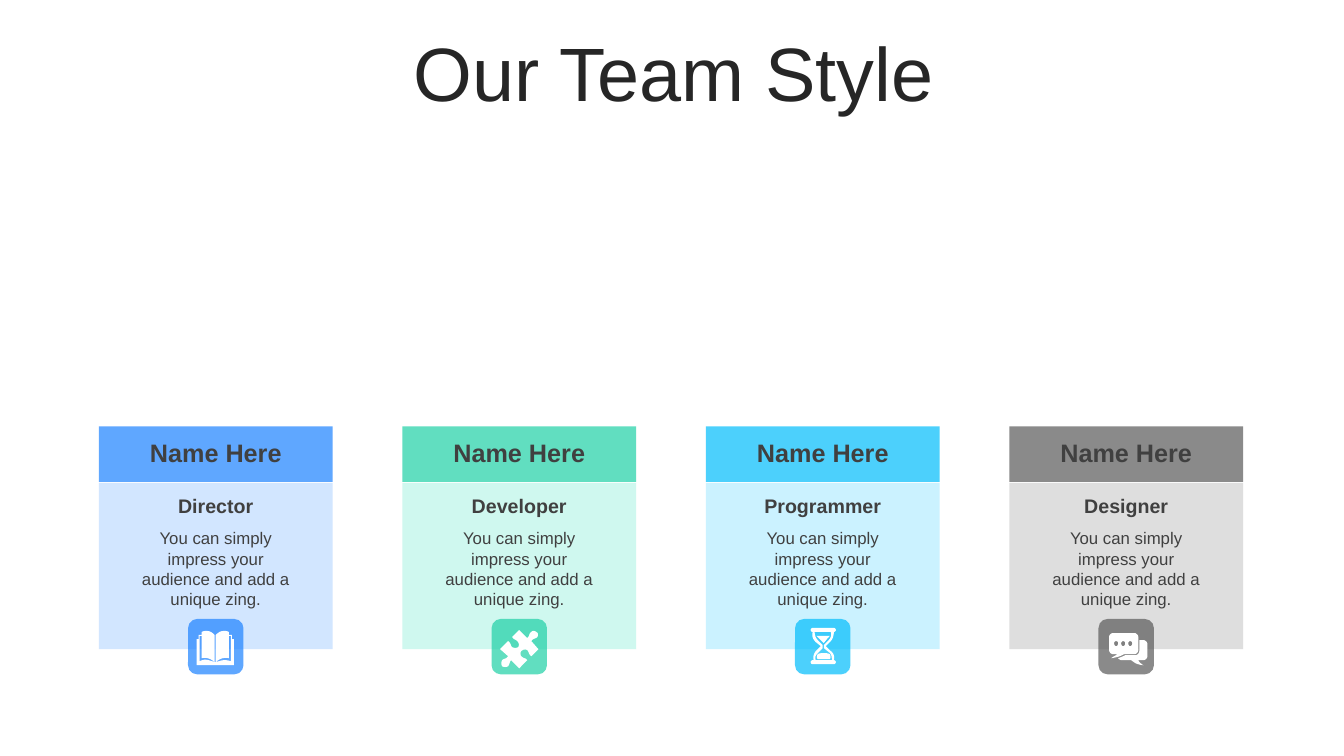
"""Build the team slide: a title above four role cards with icons."""
from dataclasses import dataclass

import lxml.etree
import pptx
import pptx.dml.color
import pptx.enum.shapes
import pptx.enum.text
import pptx.oxml.ns
import pptx.shapes.autoshape
import pptx.slide
import pptx.text.text
import pptx.util

Inches = pptx.util.Inches
SHAPES = pptx.enum.shapes.MSO_SHAPE
MIDDLE = pptx.enum.text.MSO_ANCHOR.MIDDLE
TOP = pptx.enum.text.MSO_ANCHOR.TOP

COLOURS = {
    "title": "262626", "text": "404040", "icon": "FFFFFF",
    "blue": "1C82FF", "blue panel": "D2E6FF",
    "green": "1ED0A6", "green panel": "CFF8EF",
    "cyan": "00BDFB", "cyan panel": "CBF2FF",
    "grey": "595959", "grey panel": "DEDEDE",
}
FONT = "Arial"
FIRST_LEFT, PITCH = 0.98, 3.01
CARD_WIDTH, TEXT_WIDTH, TILE_SIZE = 2.32, 1.81, 0.55
CURVE_STEPS = 6
DESCRIPTION = "You can simply impress your audience and add a unique zing."

# Outlines in hundredths of an inch: two numbers make a line, six a curve.
BOOK = (
    "213,657 213,657,214,657,214,657 220,655,223,654,229,656 229,631 227,631 "
    "227,639,227,646,227,653 223,652,218,653,214,657 214,630 "
    "217,627,219,626,222,626 224,626,225,626,227,627 227,628,227,629,227,630 "
    "230,630 230,634 232,634 232,660 195,660 195,634 197,634 197,630 200,630 "
    "200,629,200,628,200,627 202,626,203,626,205,626 208,626,210,627,213,630 "
    "213,657 209,653,204,652,200,653 200,631 198,631 198,656 "
    "204,653,207,655,213,657",
)
PUZZLE = (
    "532,627 534,628,534,630,533,632 531,634,529,633,527,636 534,644 527,651 "
    "524,649,525,647,523,645 521,644,519,644,517,646 516,647,516,650,517,651 "
    "520,654,521,652,523,655 515,663 507,655 505,657,506,658,504,661 "
    "502,662,500,662,498,661 497,659,497,657,498,655 500,653,502,654,504,651 "
    "496,644 504,636 507,638,506,640,508,642 510,643,512,643,514,642 "
    "515,640,515,638,513,636 511,634,510,635,508,632 515,625 523,633 "
    "526,630,524,629,527,627 528,625,531,626,532,627",
)
HOURGLASS = (
    "817,648 819,648,821,648,823,649 824,651,824,653,823,654 811,654 "
    "810,653,810,651,811,649 813,648,815,648,817,648",
    "810,631 823,631 822,632,822,632,821,633 817,638 812,633 811,632,811,632,810,631",
    "808,627 808,630,809,633,811,635 816,640 816,643 811,648 "
    "809,650,808,652,809,655 825,655 825,652,825,649,822,647 817,643 817,640 "
    "822,635 824,633,825,630,824,627",
    "806,623 827,623 828,623,829,624,829,625 829,626,828,627,827,627 "
    "827,630,826,634,824,636 819,641 824,646 827,648,828,652,827,655 "
    "828,655,829,656,829,657 829,658,828,659,827,659 806,659 "
    "805,659,804,658,804,657 804,656,805,655,806,655 807,655 "
    "806,652,807,649,809,646 814,641 809,637 806,634,805,631,806,627 "
    "805,627,804,626,804,625 804,624,805,623,806,623",
)
CHAT = tuple(
    f"{x},636 {x - 1},636,{x - 2},637,{x - 2},638 {x - 2},640,{x - 1},641,{x},641 "
    f"{x + 1},641,{x + 2},640,{x + 2},638 {x + 2},637,{x + 1},636,{x},636"
    for x in (1121, 1114, 1107)
) + (
    "1130,635 1134,635 1136,635,1138,637,1138,639 1138,651 "
    "1138,653,1136,655,1134,655 1129,655 1130,657,1130,657,1134,660 "
    "1127,659,1126,658,1122,655 1113,655 1111,655,1110,654,1109,653 "
    "1112,652,1114,651,1116,650 1126,650 1128,650,1130,648,1130,646",
    "1104,628 1125,628 1127,628,1129,630,1129,632 1129,645 "
    "1129,647,1127,649,1125,649 1115,649 1111,651,1109,652,1102,653 "
    "1106,650,1106,651,1108,649 1104,649 1102,649,1100,647,1100,645 1100,632 "
    "1100,630,1102,628,1104,628",
)


@dataclass(frozen=True)
class Card:
    """One team role with its accent colour and icon outline."""
    role: str
    colour: str
    icon: tuple[str, ...]


@dataclass(frozen=True)
class Label:
    """Place and style of one text in every card."""
    top: float
    height: float
    size: int
    bold: bool
    anchor: pptx.enum.text.MSO_ANCHOR


NAME = Label(4.35, 0.27, 18, True, MIDDLE)
ROLE = Label(4.84, 0.35, 14, True, MIDDLE)
ABOUT = Label(5.19, 0.91, 12, False, TOP)

CARDS = (
    Card("Director", "blue", BOOK),
    Card("Developer", "green", PUZZLE),
    Card("Programmer", "cyan", HOURGLASS),
    Card("Designer", "grey", CHAT),
)


def paint(shape: pptx.shapes.autoshape.Shape, colour: str, alpha: int = 100) -> None:
    """Give a shape a plain fill without outline or shadow."""
    shape.shadow.inherit = False
    shape.line.fill.background()
    shape.fill.solid()
    shape.fill.fore_color.rgb = pptx.dml.color.RGBColor.from_string(COLOURS[colour])
    if alpha < 100:
        tint = next(shape.element.spPr.iter(pptx.oxml.ns.qn("a:srgbClr")))
        lxml.etree.SubElement(tint, pptx.oxml.ns.qn("a:alpha")).set("val", str(alpha * 1000))


def add_block(page: pptx.slide.Slide, kind: pptx.enum.shapes.MSO_SHAPE, left: float,
              top: float, width: float, height: float, colour: str, alpha: int = 100) -> None:
    """Add a filled preset shape."""
    block = page.shapes.add_shape(kind, Inches(left), Inches(top), Inches(width), Inches(height))
    paint(block, colour, alpha)


def write(frame: pptx.text.text.TextFrame, text: str, size: int, colour: str,
          bold: bool, anchor: pptx.enum.text.MSO_ANCHOR) -> None:
    """Fill a text frame with one centred, formatted paragraph."""
    frame.text = text
    frame.word_wrap = True
    frame.auto_size = pptx.enum.text.MSO_AUTO_SIZE.NONE
    frame.vertical_anchor = anchor
    para = frame.paragraphs[0]
    para.alignment = pptx.enum.text.PP_ALIGN.CENTER
    font = para.runs[0].font
    font.name, font.size, font.bold = FONT, pptx.util.Pt(size), bold
    font.color.rgb = pptx.dml.color.RGBColor.from_string(COLOURS[colour])


def trace(contour: str) -> list[tuple[int, int]]:
    """Turn an outline into points, sampling its curves."""
    points: list[tuple[float, float]] = []
    for segment in contour.split():
        numbers = [int(number) / 100 for number in segment.split(",")]
        if len(numbers) == 2:
            points.append((numbers[0], numbers[1]))
            continue
        corners = [points[-1], *zip(numbers[::2], numbers[1::2])]
        for step in range(1, CURVE_STEPS + 1):
            t = step / CURVE_STEPS
            weights = ((1 - t) ** 3, 3 * t * (1 - t) ** 2, 3 * t * t * (1 - t), t ** 3)
            points.append((sum(w * x for w, (x, _) in zip(weights, corners)),
                           sum(w * y for w, (_, y) in zip(weights, corners))))
    return [(Inches(x), Inches(y)) for x, y in points]


def add_icon(page: pptx.slide.Slide, icon: tuple[str, ...]) -> None:
    """Draw an icon as one white freeform."""
    contours = [trace(contour) for contour in icon]
    builder = page.shapes.build_freeform(*contours[0][0])
    for index, points in enumerate(contours):
        if index:
            builder.move_to(*points[0])
        builder.add_line_segments(points[1:], close=True)
    paint(builder.convert_to_shape(), "icon")


def add_card(page: pptx.slide.Slide, card: Card, left: float) -> None:
    """Draw one card with its band, panel, texts and icon tile."""
    add_block(page, SHAPES.RECTANGLE, left, 4.23, CARD_WIDTH, 0.55, card.colour, 70)
    add_block(page, SHAPES.RECTANGLE, left, 4.79, CARD_WIDTH, 1.65, f"{card.colour} panel")
    add_block(page, SHAPES.ROUNDED_RECTANGLE, left + (CARD_WIDTH - TILE_SIZE) / 2, 6.14,
              TILE_SIZE, TILE_SIZE, card.colour, 70)
    text_left = left + (CARD_WIDTH - TEXT_WIDTH) / 2
    for label, text in ((NAME, "Name Here"), (ROLE, card.role), (ABOUT, DESCRIPTION)):
        box = page.shapes.add_textbox(Inches(text_left), Inches(label.top),
                                      Inches(TEXT_WIDTH), Inches(label.height))
        write(box.text_frame, text, label.size, "text", label.bold, label.anchor)
    add_icon(page, card.icon)


def main() -> None:
    """Build and save the deck."""
    deck = pptx.Presentation()
    deck.slide_width, deck.slide_height = Inches(13.33), Inches(7.5)
    page = deck.slides.add_slide(deck.slide_layouts[5])
    title = page.shapes.title
    title.left, title.top = Inches(0.35), Inches(0.37)
    title.width, title.height = Inches(12.66), Inches(0.79)
    write(title.text_frame, "Our Team Style", 54, "title", False, MIDDLE)
    title.text_frame.paragraphs[0].line_spacing = 0.9
    for index, card in enumerate(CARDS):
        add_card(page, card, FIRST_LEFT + index * PITCH)
    deck.save("out.pptx")


if __name__ == "__main__":
    main()
